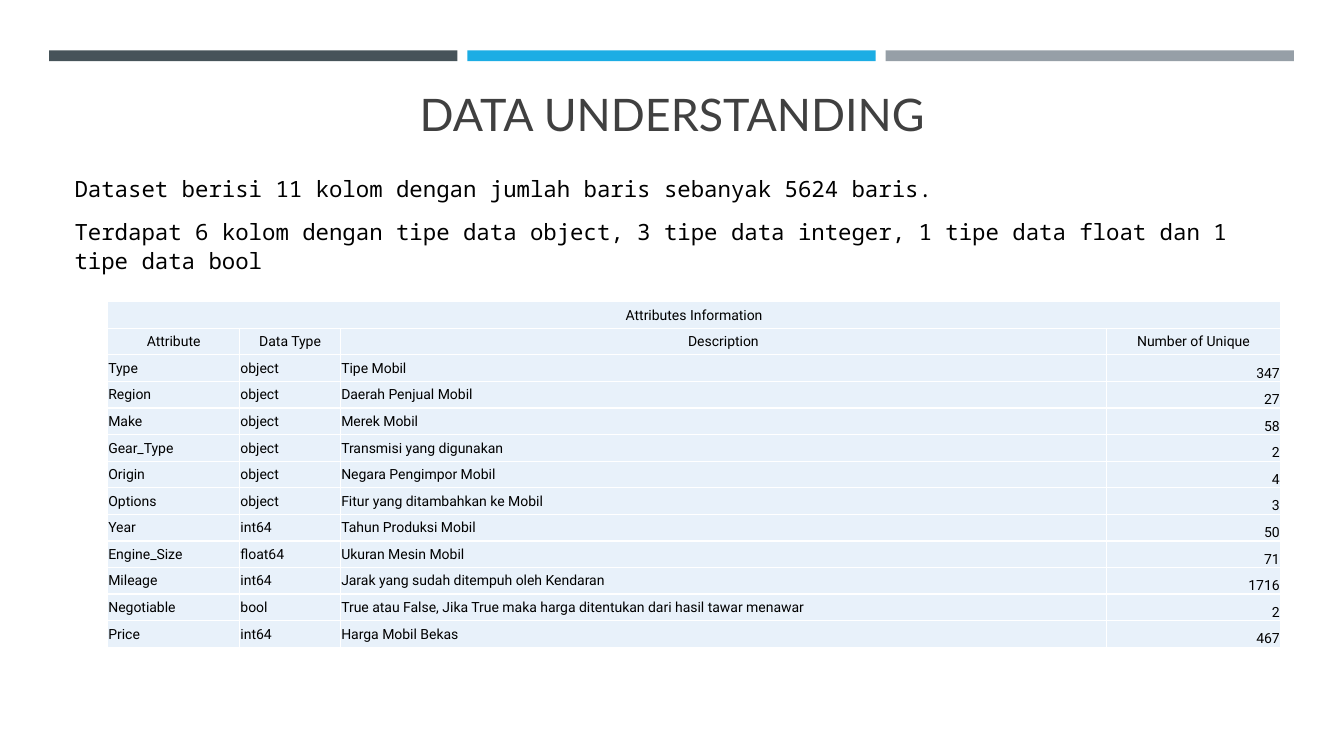
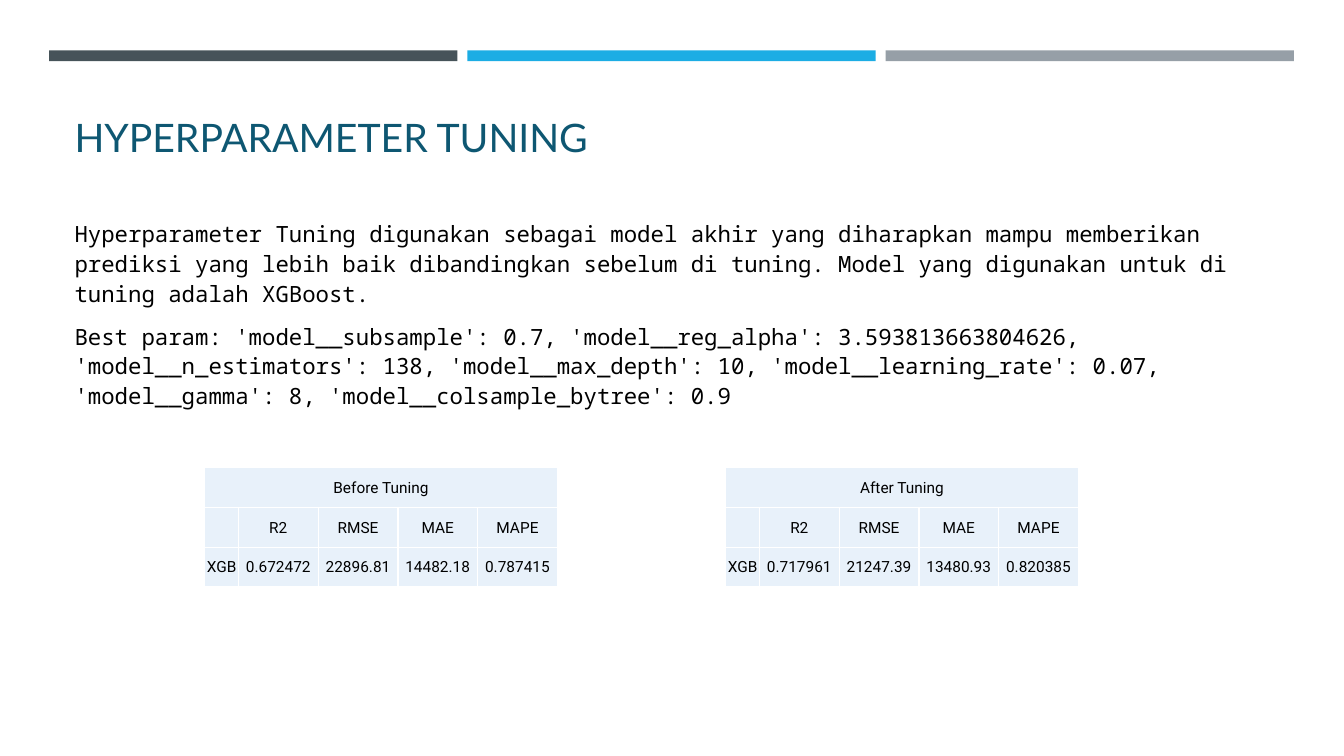
from lxml import etree
from pptx import Presentation
from pptx.dml.color import RGBColor
from pptx.enum import shapes, text
from pptx.oxml import ns
from pptx.util import Cm, Pt

COLORS = {
    "slate": "465359",
    "blue": "1CADE4",
    "gray": "969FA7",
    "title": "404040",
    "teal": "0E5772",
    "black": "000000",
    "white": "FFFFFF",
    "cell": "E8F1FA",
}
TITLE_FONT, BODY_FONT, TABLE_FONT = "Lato", "Noto Sans Mono", "Roboto"
TEXT_LEFT, TEXT_WIDTH = 1.63, 30.63
LEFT, CENTER, RIGHT = (text.PP_ALIGN.LEFT, text.PP_ALIGN.CENTER, text.PP_ALIGN.RIGHT)
MIDDLE, BOTTOM = text.MSO_ANCHOR.MIDDLE, text.MSO_ANCHOR.BOTTOM

ATTRIBUTES = [
    ["Attributes Information"],
    ["Attribute", "Data Type", "Description", "Number of Unique"],
    ["Type", "object", "Tipe Mobil", "347"],
    ["Region", "object", "Daerah Penjual Mobil", "27"],
    ["Make", "object", "Merek Mobil", "58"],
    ["Gear_Type", "object", "Transmisi yang digunakan", "2"],
    ["Origin", "object", "Negara Pengimpor Mobil", "4"],
    ["Options", "object", "Fitur yang ditambahkan ke Mobil", "3"],
    ["Year", "int64", "Tahun Produksi Mobil", "50"],
    ["Engine_Size", "float64", "Ukuran Mesin Mobil", "71"],
    ["Mileage", "int64", "Jarak yang sudah ditempuh oleh Kendaran", "1716"],
    ["Negotiable", "bool",
     "True atau False, Jika True maka harga ditentukan dari hasil tawar menawar", "2"],
    ["Price", "int64", "Harga Mobil Bekas", "467"],
]
METRICS = ["", "R2", "RMSE", "MAE", "MAPE"]
TUNING = [
    (5.16, "Before Tuning", ["XGB", "0.672472", "22896.81", "14482.18", "0.787415"]),
    (18.29, "After Tuning", ["XGB", "0.717961", "21247.39", "13480.93", "0.820385"]),
]


def rgb(name):
    return RGBColor.from_string(COLORS[name])


def format_runs(p, font, size, color):
    for r in p.runs:
        r.font.name = font
        r.font.size = Pt(size)
        r.font.color.rgb = rgb(color)


def add_bands(slide):
    for i, color in enumerate(("slate", "blue", "gray")):
        sp = slide.shapes.add_shape(shapes.MSO_SHAPE.RECTANGLE, Cm(1.24 + i * 10.54),
                                    Cm(1.27), Cm(10.29), Cm(0.27))
        sp.shadow.inherit = False
        sp.fill.solid()
        sp.fill.fore_color.rgb = rgb(color)
        sp.line.fill.background()


def add_text_box(slide, top, height, anchor, content):
    tf = slide.shapes.add_textbox(Cm(TEXT_LEFT), Cm(top), Cm(TEXT_WIDTH), Cm(height)).text_frame
    tf.word_wrap = True
    tf.vertical_anchor = anchor
    tf.text = content
    return tf


def add_title(slide, title, height, size, color, align):
    p = add_text_box(slide, 1.96, height, BOTTOM, title).paragraphs[0]
    p.alignment = align
    format_runs(p, TITLE_FONT, size, color)


def add_body(slide, top, height, paragraphs):
    tf = add_text_box(slide, top, height, MIDDLE, "\n".join(paragraphs))
    for p in tf.paragraphs:
        p.line_spacing = 1.1
        p.space_before = Pt(3.7)
        p.space_after = Pt(6)
        format_runs(p, BODY_FONT, 16, "black")


def add_borders(cell):
    tc_pr = cell._tc.get_or_add_tcPr()
    for side in ("a:lnL", "a:lnR", "a:lnT", "a:lnB"):
        ln = etree.SubElement(tc_pr, ns.qn(side), w=str(Pt(1)))
        fill = etree.SubElement(ln, ns.qn("a:solidFill"))
        etree.SubElement(fill, ns.qn("a:srgbClr"), val=COLORS["white"])


def format_cell(cell, size, align, anchor):
    add_borders(cell)
    cell.fill.solid()
    cell.fill.fore_color.rgb = rgb("cell")
    cell.margin_left = cell.margin_right = cell.margin_top = Cm(0.02)
    cell.margin_bottom = 0
    cell.vertical_anchor = anchor
    p = cell.text_frame.paragraphs[0]
    p.alignment = align
    p.font.size = Pt(size)
    format_runs(p, TABLE_FONT, size, "black")


def add_grid(slide, left, top, widths, row_height, rows, size, styles):
    """Table with a merged heading and a centred header; styles hold each column's data format."""
    frame = slide.shapes.add_table(len(rows), len(widths), Cm(left), Cm(top),
                                   Cm(sum(widths)), Cm(row_height * len(rows)))
    table = frame.table
    table.first_row = table.horz_banding = False
    for column, width in zip(table.columns, widths):
        column.width = Cm(width)
    for i, (row, values) in enumerate(zip(table.rows, rows)):
        row.height = Cm(row_height)
        for cell, value in zip(row.cells, values):
            cell.text = value
        for cell, style in zip(row.cells, styles):
            format_cell(cell, size, *(style if i > 1 else (CENTER, MIDDLE)))
    table.cell(0, 0).merge(table.cell(0, len(widths) - 1))


def add_slide(prs):
    slide = prs.slides.add_slide(prs.slide_layouts[6])
    add_bands(slide)
    return slide


def add_data_understanding(prs):
    slide = add_slide(prs)
    add_body(slide, 3.91, 3.43, [
        "Dataset berisi 11 kolom dengan jumlah baris sebanyak 5624 baris.",
        "Terdapat 6 kolom dengan tipe data object, 3 tipe data integer, "
        "1 tipe data float dan 1 tipe data bool",
    ])
    add_title(slide, "DATA UNDERSTANDING", 1.7, 32, "title", CENTER)
    add_grid(slide, 2.71, 7.6, [3.33, 2.54, 19.3, 4.39], 0.67, ATTRIBUTES, 10,
             [(LEFT, MIDDLE)] * 3 + [(RIGHT, BOTTOM)])


def add_hyperparameter_tuning(prs):
    slide = add_slide(prs)
    add_body(slide, 5.23, 5.33, [
        "Hyperparameter Tuning digunakan sebagai model akhir yang diharapkan mampu memberikan "
        "prediksi yang lebih baik dibandingkan sebelum di tuning. Model yang digunakan untuk "
        "di tuning adalah XGBoost.",
        "Best param: 'model__subsample': 0.7, 'model__reg_alpha': 3.593813663804626, "
        "'model__n_estimators': 138, 'model__max_depth': 10, 'model__learning_rate': 0.07, "
        "'model__gamma': 8, 'model__colsample_bytree': 0.9",
    ])
    add_title(slide, "HYPERPARAMETER TUNING", 2.21, 28, "teal", LEFT)
    for left, heading, scores in TUNING:
        add_grid(slide, left, 11.79, [0.85] + [2.01] * 4, 1, [[heading], METRICS, scores], 11,
                 [(CENTER, MIDDLE)] * 5)


def main():
    prs = Presentation()
    prs.slide_width, prs.slide_height = Cm(33.87), Cm(19.05)
    add_data_understanding(prs)
    add_hyperparameter_tuning(prs)
    prs.save("out.pptx")


if __name__ == "__main__":
    main()
